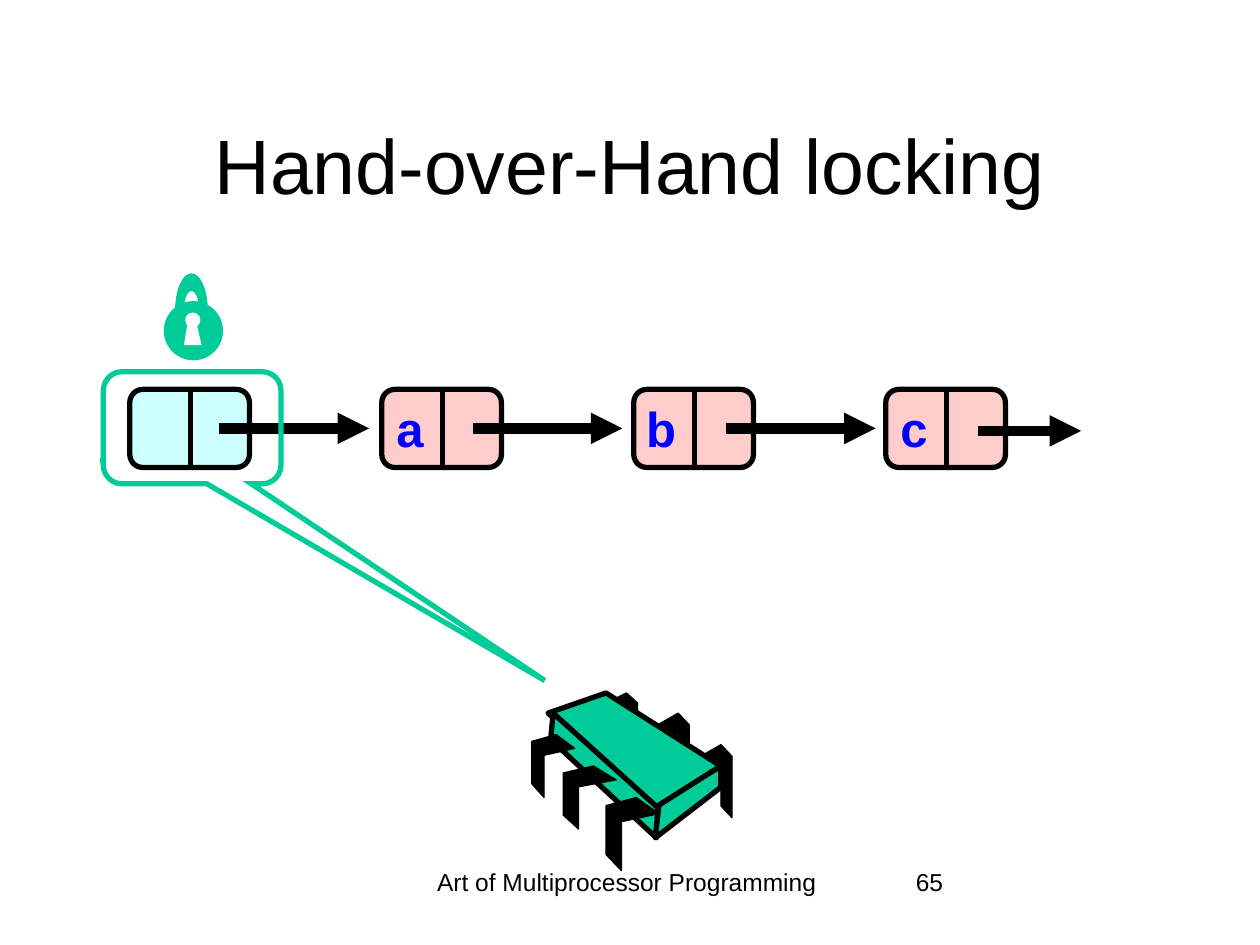
import math

import pptx
import pptx.dml.color
import pptx.enum.shapes
import pptx.enum.text
import pptx.oxml.ns
import pptx.util
from lxml import etree

COLORS = {"ink": "000000", "paper": "FFFFFF", "green": "00CC99",
          "cyan": "CCFFFF", "pink": "FFCCCC", "blue": "0000FF"}
COLS, ROWS = 10, 7.5
SHAPE = pptx.enum.shapes.MSO_SHAPE
ALIGN = pptx.enum.text.PP_ALIGN
ANCHOR = pptx.enum.text.MSO_ANCHOR

# Chip legs as shares of their own box
BACK = [(0, .16), (.65, 0), (1, .16), (1, 1), (.65, .84), (.65, .28), (0, .43)]
FRONT = [(.57, 0), (1, .22), (.29, .33), (.29, 1), (0, .78), (0, .11)]


def color(name):
    return pptx.dml.color.RGBColor.from_string(COLORS[name])


def add_tag(parent, name, **attrs):
    return etree.SubElement(parent, pptx.oxml.ns.qn(name), attrs)


def fit(points, x, y, w, h):
    """Place points given as shares of a box."""
    return [(x + px * w, y + py * h) for px, py in points]


def arc(x, y, rx, ry, start, end, steps=24):
    """Points along an ellipse, with angles in degrees."""
    turns = [math.radians(start + (end - start) * i / steps) for i in range(steps + 1)]
    return [(x + rx * math.cos(t), y - ry * math.sin(t)) for t in turns]


class Deck:
    def __init__(self):
        self.show = pptx.Presentation()
        self.show.slide_width = pptx.util.Inches(10)
        self.show.slide_height = pptx.util.Inches(7.5)
        self.slide = self.show.slides.add_slide(self.show.slide_layouts[6])
        self.host = self.slide.shapes

    def group(self):
        """Send the next elements into a new group."""
        self.host = self.slide.shapes.add_group_shape().shapes

    def leave(self):
        self.host = self.slide.shapes

    def grid(self, *cells):
        """Turn alternating columns and rows into slide lengths."""
        units = (self.show.slide_width / COLS, self.show.slide_height / ROWS)
        return [round(cell * units[i % 2]) for i, cell in enumerate(cells)]

    def paint(self, shape, fill, line, width):
        shape.shadow.inherit = False
        for part, name in ((shape.fill, fill), (shape.line.fill, line)):
            if name:
                part.solid()
                part.fore_color.rgb = color(name)
            else:
                part.background()
        if line:
            shape.line.width = pptx.util.Pt(width)
        return shape

    def shape(self, kind, box, fill=None, line=None, width=3, adj=()):
        item = self.host.add_shape(kind, *self.grid(*box))
        for i, value in enumerate(adj):
            item.adjustments[i] = value
        return self.paint(item, fill, line, width)

    def poly(self, points, fill, line=None, width=3):
        spots = [self.grid(*point) for point in points]
        form = self.host.build_freeform(*spots[0])
        form.add_line_segments(spots[1:], close=True)
        return self.paint(form.convert_to_shape(), fill, line, width)

    def line(self, ends, width=3, arrow=False):
        kind = pptx.enum.shapes.MSO_CONNECTOR.STRAIGHT
        item = self.host.add_connector(kind, *self.grid(*ends))
        item.line.color.rgb = color("ink")
        item.line.width = pptx.util.Pt(width)
        if arrow:
            add_tag(item.line._get_or_add_ln(), "a:tailEnd", type="triangle")
        add_tag(item._element.spPr, "a:effectLst")

    def text(self, words, box, size, hue="ink", bold=False, align=ALIGN.LEFT,
             anchor=ANCHOR.TOP, wrap=True):
        frame = self.host.add_textbox(*self.grid(*box)).text_frame
        frame.word_wrap = wrap
        frame.vertical_anchor = anchor
        para = frame.paragraphs[0]
        para.alignment = align
        run = para.add_run()
        run.text = words
        style = {"name": "Arial", "size": pptx.util.Pt(size), "bold": bold}
        for key, value in style.items():
            setattr(run.font, key, value)
        run.font.color.rgb = color(hue)

    def node(self, x, fill, label=""):
        self.group()
        self.shape(SHAPE.ROUNDED_RECTANGLE, (x, 3.09, .95, .62), fill, "ink", adj=[.167])
        self.line((x + .48, 3.08, x + .48, 3.72))
        if label:
            self.text(label, (x, 3.11, .43, .57), 28, "blue", True, ALIGN.RIGHT, wrap=False)
        self.leave()

    def chip(self):
        self.group()
        for box in ((5.56, 5.91, .25, .58), (5.22, 5.66, .25, .58), (4.81, 5.5, .25, .5)):
            self.poly(fit(BACK, *box), "ink", "ink", .75)
        top = [(4.81, 5.5), (5.72, 6.08), (5.21, 6.43), (4.35, 5.66)]
        side = [(4.39, 5.66), (5.22, 6.41), (5.21, 6.65), (4.37, 5.87)]
        end = [(5.72, 6.08), (5.72, 6.25), (5.2, 6.65), (5.23, 6.39)]
        for face in (top, side, end):
            self.poly(face, "green", "ink")
        for box in ((4.81, 6.33, .42, .58), (4.47, 6.08, .42, .5), (4.22, 5.83, .34, .5)):
            self.poly(fit(FRONT, *box), "ink", "ink", .75)
        self.leave()

    def lock(self):
        self.group()
        self.shape(SHAPE.OVAL, (1.3, 2.39, .47, .47), "green")
        self.shape(SHAPE.OVAL, (1.47, 2.48, .12, .12), "paper")
        self.poly([(1.46, 2.74), (1.49, 2.56), (1.56, 2.56), (1.6, 2.74)], "paper")
        inner = arc(1.52, 2.46, .06, .15, 180, 0)
        outer = arc(1.52, 2.46, .13, .29, 0, 180)
        self.poly(inner + outer, "green")
        self.leave()

    def callout(self):
        item = self.shape(SHAPE.ROUNDED_RECTANGULAR_CALLOUT, (.82, 2.95, 1.41, .89),
                          line="green", adj=[1.985, 2.254, .167])
        add_tag(item.line._get_or_add_ln(), "a:miter", lim="800000")


def main():
    deck = Deck()
    deck.text("Art of Multiprocessor Programming", (3.1, 6.83, 3.75, .5), 14,
              align=ALIGN.CENTER)
    deck.text("65", (7.17, 6.83, 2.08, .5), 14)
    deck.text("Hand-over-Hand locking", (.75, .67, 8.5, 1.25), 44,
              align=ALIGN.CENTER, anchor=ANCHOR.MIDDLE)
    for i, label in enumerate(["", "a", "b", "c"]):
        deck.node(1.03 + 2 * i, "pink" if label else "cyan", label)
    for i in range(3):
        start = 1.74 + 2.01 * i
        deck.line((start, 3.4, start + 1.19, 3.4), 6, True)
    deck.chip()
    deck.callout()
    deck.lock()
    deck.line((7.76, 3.42, 8.58, 3.42), 6, True)
    deck.show.save("out.pptx")


if __name__ == "__main__":
    main()
